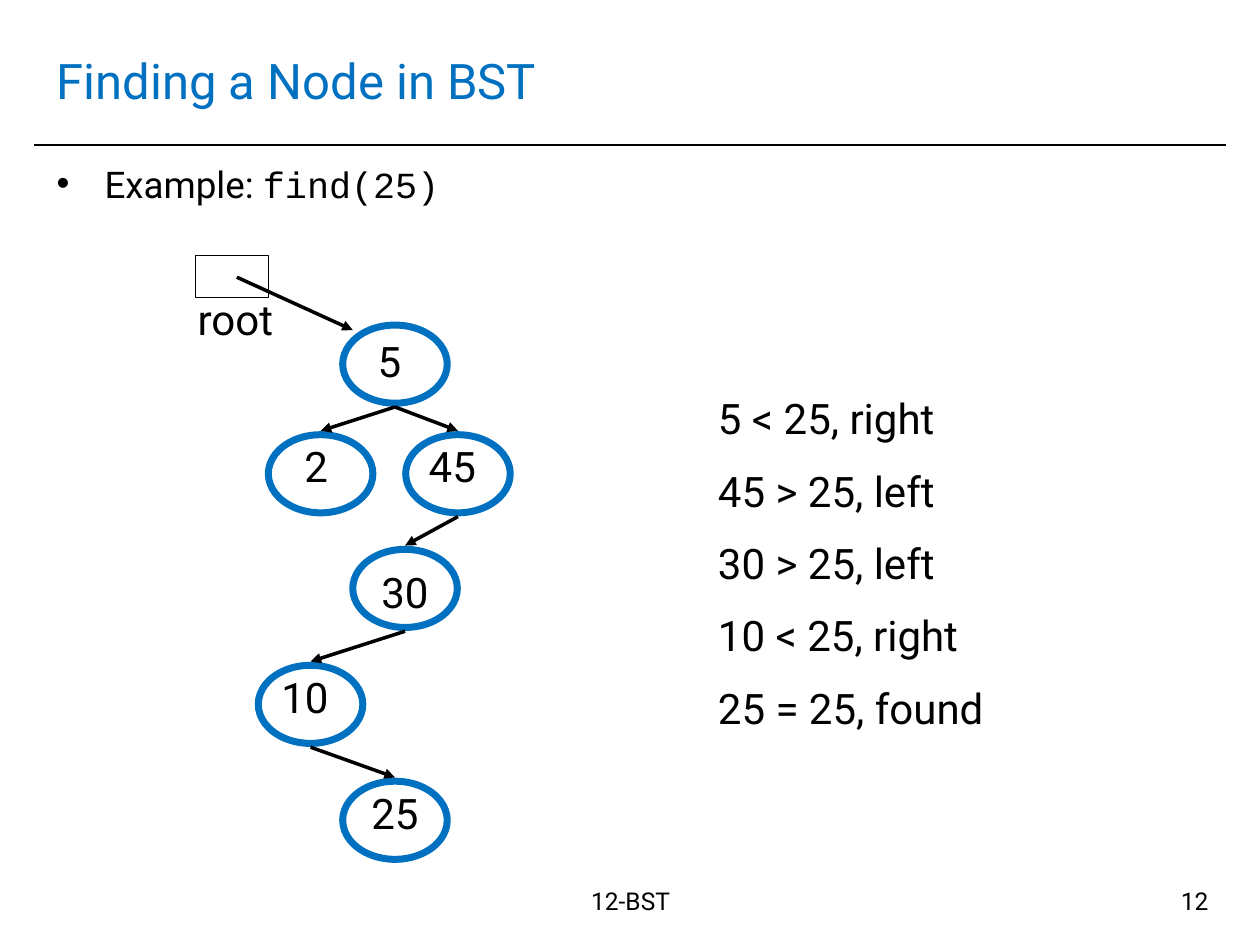
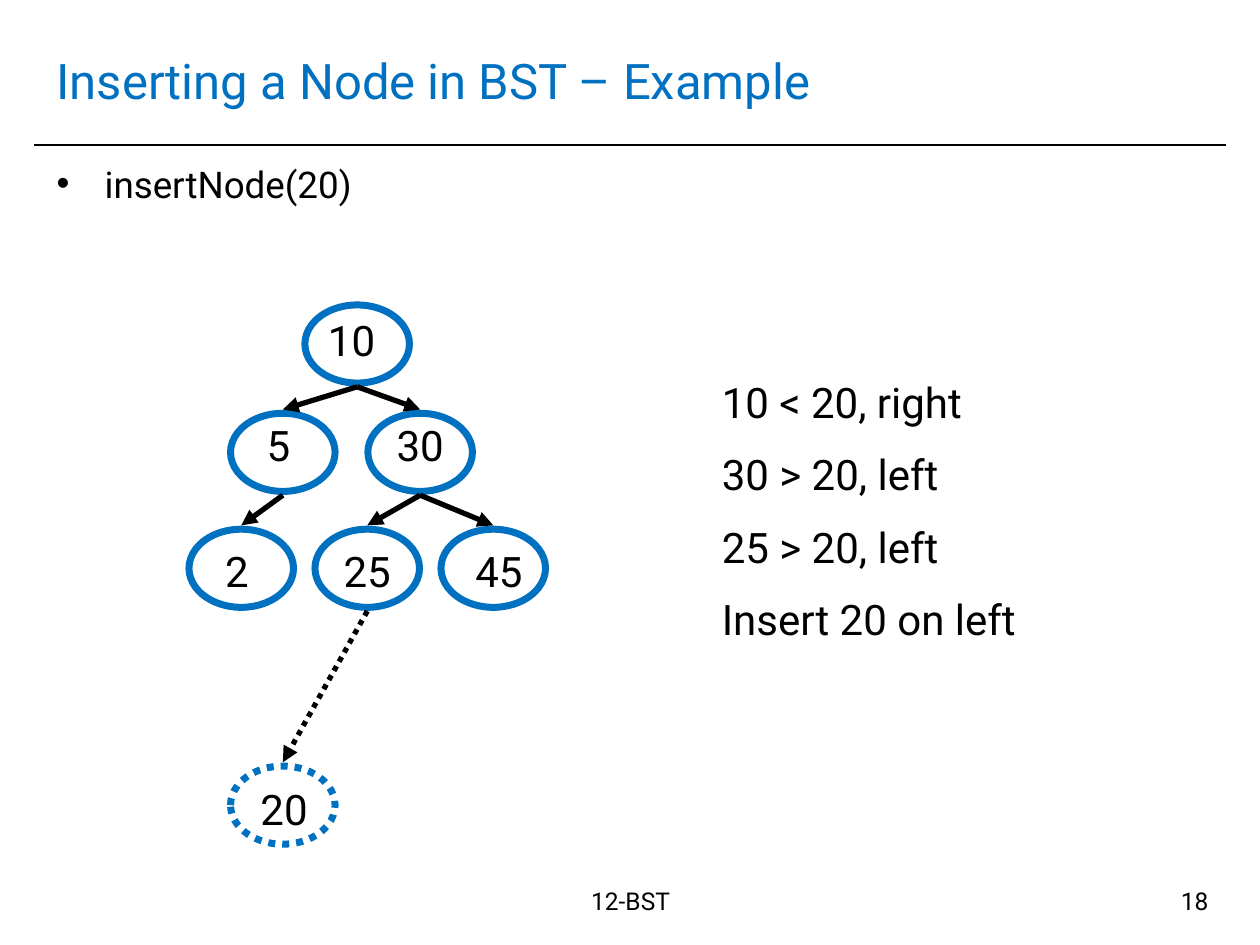
import pptx
import pptx.util
import pptx.dml.color
import pptx.enum.dml
import pptx.enum.shapes
import pptx.enum.text
import pptx.oxml.ns
import lxml.etree

Inches = pptx.util.Inches
Pt = pptx.util.Pt
RGBColor = pptx.dml.color.RGBColor
ALIGN = pptx.enum.text.PP_ALIGN
SHAPE = pptx.enum.shapes.MSO_SHAPE
DOTTED = pptx.enum.dml.MSO_LINE.ROUND_DOT
qn = pptx.oxml.ns.qn

BLUE = RGBColor(0x00, 0x70, 0xC0)
BLACK = RGBColor(0x00, 0x00, 0x00)
FONT = "Roboto"
CODE_FONT = "Courier New"
NODE_WIDTH, NODE_HEIGHT = 0.83, 0.62
NODE_GAP = 0.03
LABEL_HEIGHT = 0.5


def write_run(paragraph, text, size, color=BLACK, font=FONT):
    run = paragraph.add_run()
    run.text = text
    run.font.name = font
    run.font.size = Pt(size)
    run.font.color.rgb = color


def draw_line(slide, start, end, width, arrow=True, dotted=False):
    line = slide.shapes.add_connector(
        pptx.enum.shapes.MSO_CONNECTOR.STRAIGHT,
        *[Inches(length) for length in (*start, *end)])
    line.line.color.rgb = BLACK
    line.line.width = Pt(width)
    if dotted:
        line.line.dash_style = DOTTED
    if arrow:
        lxml.etree.SubElement(line.line._get_or_add_ln(), qn("a:tailEnd"), type="triangle")
    lxml.etree.SubElement(line._element.spPr, qn("a:effectLst"))


# value: (node left, node top, label left, label top, label width, parent)
trees = [
    {
        "title": "Finding a Node in BST",
        "bullet": [("Example: ", FONT), ("find(25)", CODE_FONT)],
        "body_height": 5.59,
        "number": "12",
        "arrow_width": 2,
        "root_pointer": True,
        "new_node": None,
        "nodes": {
            5: (2.72, 2.58, 2.88, 2.61, 0.42, None),
            2: (2.13, 3.45, 2.3, 3.45, 0.42, 5),
            45: (3.22, 3.45, 3.3, 3.45, 0.58, 5),
            30: (2.8, 4.36, 2.88, 4.45, 0.67, 45),
            10: (2.05, 5.28, 2.13, 5.28, 0.58, 30),
            25: (2.72, 6.2, 2.8, 6.2, 0.67, 10),
        },
        "steps_box": (5.6, 3.07, 2.5, 2.93),
        "steps": ["5 < 25, right", "45 > 25, left", "30 > 25, left",
                  "10 < 25, right", "25 = 25, found"],
    },
    {
        "title": "Inserting a Node in BST – Example",
        "bullet": [("insertNode(20)", FONT)],
        "body_height": 0.58,
        "number": "18",
        "arrow_width": 3,
        "root_pointer": False,
        "new_node": 20,
        "nodes": {
            10: (2.42, 2.42, 2.5, 2.45, 0.58, None),
            5: (1.83, 3.28, 2, 3.28, 0.42, 10),
            30: (2.92, 3.28, 3, 3.28, 0.67, 10),
            2: (1.5, 4.2, 1.67, 4.28, 0.42, 5),
            25: (2.5, 4.2, 2.58, 4.28, 0.67, 30),
            45: (3.5, 4.2, 3.67, 4.28, 0.58, 30),
            20: (1.83, 6.08, 1.92, 6.17, 0.67, 25),
        },
        "steps_box": (5.63, 2.94, 3.75, 2.32),
        "steps": ["10 < 20, right", "30 > 20, left", "25 > 20, left",
                  "Insert 20 on left"],
    },
]

deck = pptx.Presentation()
deck.slide_width = Inches(10)
deck.slide_height = Inches(7.5)

for tree in trees:
    slide = deck.slides.add_slide(deck.slide_layouts[1])
    draw_line(slide, (0.27, 1.15), (9.73, 1.15), 1, arrow=False)

    title = slide.shapes.title
    title.left, title.top, title.width, title.height = map(Inches, (0.35, 0.21, 9.29, 0.85))
    title.text_frame.auto_size = pptx.enum.text.MSO_AUTO_SIZE.NONE
    title.text_frame.vertical_anchor = pptx.enum.text.MSO_ANCHOR.MIDDLE
    heading = title.text_frame.paragraphs[0]
    heading.alignment = ALIGN.LEFT
    write_run(heading, tree["title"], 28, BLUE)

    body = slide.placeholders[1]
    body.left, body.top, body.width, body.height = map(
        Inches, (0.35, 1.23, 9.29, tree["body_height"]))
    body.text_frame.auto_size = pptx.enum.text.MSO_AUTO_SIZE.NONE
    operation = body.text_frame.paragraphs[0]
    operation.space_before = Pt(0)
    bullet = operation._p.get_or_add_pPr()
    bullet.set("marL", str(Inches(0.38)))
    bullet.set("indent", str(Inches(-0.38)))
    bullet_color = lxml.etree.SubElement(bullet, qn("a:buClr"))
    lxml.etree.SubElement(bullet_color, qn("a:srgbClr"), val=str(BLACK))
    lxml.etree.SubElement(bullet, qn("a:buChar"), char="•")
    for text, font in tree["bullet"]:
        write_run(operation, text, 21, font=font)

    captions = [
        ((3.35, 6.98, 3.31, 0.52), ["12-BST"], 14, ALIGN.CENTER),
        ((7.36, 6.98, 2.33, 0.52), [tree["number"]], 14, ALIGN.RIGHT),
        (tree["steps_box"], tree["steps"], 24, ALIGN.LEFT),
    ]

    if tree["root_pointer"]:
        root_cell = slide.shapes.add_shape(
            SHAPE.RECTANGLE, Inches(1.55), Inches(2.03), Inches(0.58), Inches(0.33))
        root_cell.shadow.inherit = False
        root_cell.fill.background()
        root_cell.line.color.rgb = BLACK
        root_cell.line.width = Pt(0.75)
        draw_line(slide, (1.88, 2.2), (2.8, 2.62), tree["arrow_width"])
        captions.append(((1.47, 2.28, 0.8, LABEL_HEIGHT), ["root"], 24, ALIGN.LEFT))

    for value, (left, top, label_left, label_top, label_width, parent) in tree["nodes"].items():
        is_new = value == tree["new_node"]
        node = slide.shapes.add_shape(
            SHAPE.OVAL, Inches(left), Inches(top), Inches(NODE_WIDTH), Inches(NODE_HEIGHT))
        node.shadow.inherit = False
        node.fill.background()
        node.line.color.rgb = BLUE
        node.line.width = Pt(4)
        if is_new:
            node.line.dash_style = DOTTED
        if parent is not None:
            parent_left, parent_top = tree["nodes"][parent][:2]
            draw_line(slide,
                      (parent_left + NODE_WIDTH / 2, parent_top + NODE_HEIGHT + NODE_GAP),
                      (left + NODE_WIDTH / 2, top - NODE_GAP),
                      tree["arrow_width"], dotted=is_new)
        captions.append(((label_left, label_top, label_width, LABEL_HEIGHT),
                         [str(value)], 24, ALIGN.CENTER))

    for place, lines, size, alignment in captions:
        caption = slide.shapes.add_textbox(*map(Inches, place)).text_frame
        caption.word_wrap = lines != ["root"]
        for index, text in enumerate(lines):
            paragraph = caption.add_paragraph() if index else caption.paragraphs[0]
            paragraph.alignment = alignment
            if index:
                paragraph.space_before = Pt(12.5)
            write_run(paragraph, text, size)

deck.save("out.pptx")
